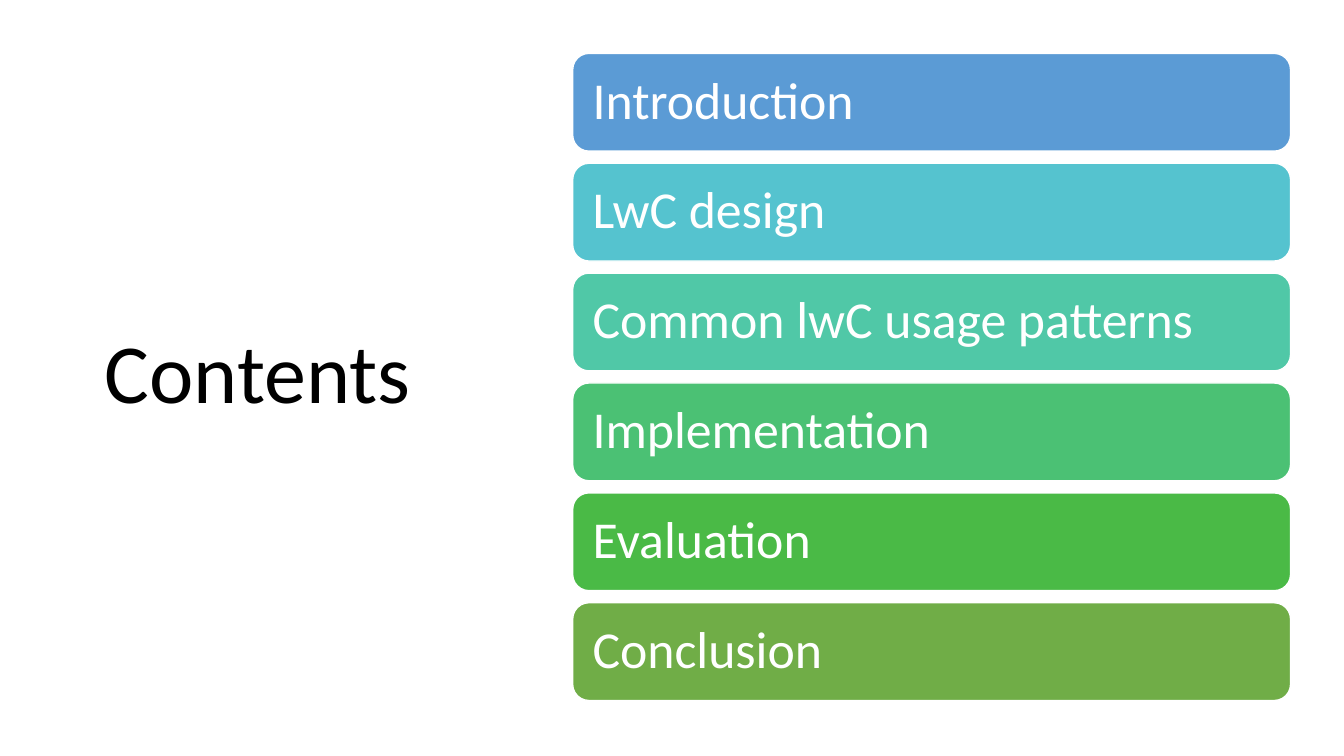
from dataclasses import dataclass

import pptx
import pptx.dml.color
import pptx.enum.shapes
import pptx.enum.text
import pptx.shapes.autoshape
import pptx.slide
import pptx.util

Inches = pptx.util.Inches
RGBColor = pptx.dml.color.RGBColor

BLACK = RGBColor(0x00, 0x00, 0x00)
WHITE = RGBColor(0xFF, 0xFF, 0xFF)
BLUE = RGBColor(0x5B, 0x9B, 0xD5)
CYAN = RGBColor(0x55, 0xC3, 0xCF)
TEAL = RGBColor(0x50, 0xC8, 0xA7)
MINT = RGBColor(0x4B, 0xC1, 0x74)
GREEN = RGBColor(0x4A, 0xBA, 0x46)
OLIVE = RGBColor(0x70, 0xAD, 0x47)

FONT = "Calibri"
BAR_LEFT, BAR_TOP = 5.68, 0.53
BAR_WIDTH, BAR_HEIGHT = 7.12, 0.97
BAR_PITCH = 1.09


@dataclass(frozen=True)
class Section:
    name: str
    color: RGBColor


SECTIONS = [
    Section("Introduction", BLUE),
    Section("LwC design", CYAN),
    Section("Common lwC usage patterns", TEAL),
    Section("Implementation", MINT),
    Section("Evaluation", GREEN),
    Section("Conclusion", OLIVE),
]


def write_text(sp: pptx.shapes.autoshape.Shape, text: str, *, size: float,
               color: RGBColor, inset: float) -> None:
    """Fill a shape with one left-aligned, vertically centred paragraph."""
    tf = sp.text_frame
    tf.word_wrap = True
    tf.vertical_anchor = pptx.enum.text.MSO_ANCHOR.MIDDLE
    tf.margin_left = tf.margin_right = Inches(inset)
    p = tf.paragraphs[0]
    p.alignment = pptx.enum.text.PP_ALIGN.LEFT
    p.line_spacing = 0.9
    r = p.add_run()
    r.text = text
    r.font.name = FONT
    r.font.size = pptx.util.Pt(size)
    r.font.color.rgb = color


def add_title(s: pptx.slide.Slide, text: str) -> None:
    sp = s.shapes.add_textbox(Inches(0.94), Inches(1.11), Inches(3.74), Inches(5.24))
    write_text(sp, text, size=60, color=BLACK, inset=0.1)


def add_section_bar(s: pptx.slide.Slide, section: Section, top: float) -> None:
    sp = s.shapes.add_shape(
        pptx.enum.shapes.MSO_SHAPE.ROUNDED_RECTANGLE,
        Inches(BAR_LEFT), Inches(top), Inches(BAR_WIDTH), Inches(BAR_HEIGHT))
    sp.shadow.inherit = False
    sp.fill.solid()
    sp.fill.fore_color.rgb = section.color
    sp.line.color.rgb = WHITE
    sp.line.width = pptx.util.Pt(1)
    write_text(sp, section.name, size=37, color=WHITE, inset=0.15)


def main() -> None:
    prs = pptx.Presentation()
    prs.slide_width, prs.slide_height = Inches(13.33), Inches(7.5)
    s = prs.slides.add_slide(prs.slide_layouts[6])
    add_title(s, "Contents")
    for i, section in enumerate(SECTIONS):
        add_section_bar(s, section, BAR_TOP + i * BAR_PITCH)
    prs.save("out.pptx")


if __name__ == "__main__":
    main()
